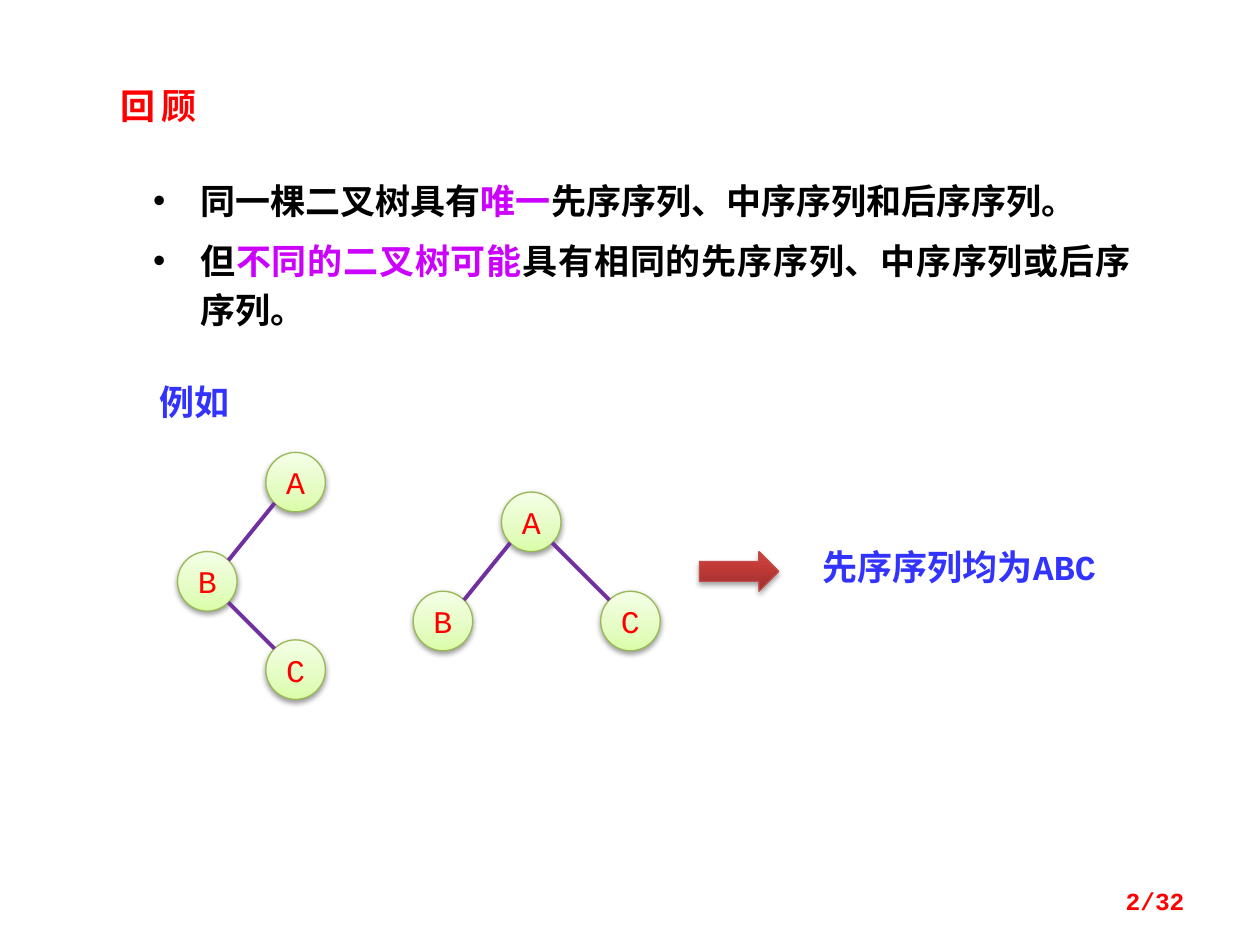
from math import sqrt

from lxml import etree
from pptx import Presentation
from pptx.dml.color import RGBColor
from pptx.enum.shapes import MSO_CONNECTOR as Link, MSO_SHAPE as Shape
from pptx.enum.text import MSO_ANCHOR as Anchor, PP_ALIGN as Align
from pptx.oxml import parse_xml
from pptx.oxml.ns import nsdecls, qn
from pptx.util import Cm, Pt

LATIN, CJK = "Courier New", "Noto Sans CJK SC"
RED, BLUE, MAGENTA, BLACK = "FF0000", "3333FF", "CC00FF", "000000"


def write(paragraph, pieces, size, bold=True, align=Align.LEFT, latin=LATIN):
    paragraph.alignment = align
    font = paragraph.font
    font.size, font.bold, font.name = Pt(size), bold, latin
    defaults = paragraph._p.pPr.find(qn("a:defRPr"))
    etree.SubElement(defaults, qn("a:ea")).set("typeface", CJK)
    for text, color in pieces:
        run = paragraph.add_run()
        run.text = text
        run.font.color.rgb = RGBColor.from_string(color)


def add_relief(shape, stops, border, opacity, distance):
    stop_xml = "".join(
        f'<a:gs pos="{pos * 1000}"><a:srgbClr val="{color}"/></a:gs>'
        for pos, color in stops)
    properties = shape._element.spPr
    properties.append(parse_xml(
        f'<a:gradFill {nsdecls("a")} rotWithShape="1"><a:gsLst>{stop_xml}</a:gsLst>'
        '<a:lin ang="16200000" scaled="0"/></a:gradFill>'))
    shape.line.color.rgb = RGBColor.from_string(border)
    shape.line.width = Pt(0.75)
    shape.shadow.inherit = False
    properties.find(qn("a:effectLst")).append(parse_xml(
        f'<a:outerShdw {nsdecls("a")} blurRad="{Pt(3.1)}" dist="{Pt(distance)}" '
        f'dir="5400000" rotWithShape="0"><a:srgbClr val="000000">'
        f'<a:alpha val="{opacity * 1000}"/></a:srgbClr></a:outerShdw>'))


deck = Presentation()
deck.slide_width, deck.slide_height = Cm(25.4), Cm(19.05)
slide = deck.slides.add_slide(deck.slide_layouts[5])
shapes = slide.shapes

heading = shapes.title
heading.left, heading.top, heading.width, heading.height = Cm(2.18), Cm(1.57), Cm(2.4), Cm(1.12)
heading.text_frame.vertical_anchor = Anchor.MIDDLE
heading.text_frame.word_wrap = False
write(heading.text_frame.paragraphs[0], [("回顾", RED)], 20, latin=CJK)
heading.text_frame.paragraphs[0].runs[0].font._element.set("spc", "300")

review = shapes.add_textbox(Cm(2.59), Cm(3.18), Cm(20.45), Cm(3.73)).text_frame
review.word_wrap = True
review.margin_left, review.margin_right = Cm(0.5), Cm(0.25)
review.margin_top = review.margin_bottom = Cm(0.3)
points = [
    [("同一棵二叉树具有", BLACK), ("唯一", MAGENTA),
     ("先序序列、中序序列和后序序列。", BLACK)],
    [("但", BLACK), ("不同的二叉树可能", MAGENTA),
     ("具有相同的先序序列、中序序列或后序序列。", BLACK)],
]
for index, pieces in enumerate(points):
    point = review.add_paragraph() if index else review.paragraphs[0]
    write(point, pieces, 20, align=Align.JUSTIFY)
    point.line_spacing, point.space_before = Pt(28), Pt(6)
    layout = point._p.pPr
    layout.set("marL", str(Cm(0.95)))
    layout.set("indent", str(-Cm(0.95)))
    bullet_font = etree.Element(qn("a:buFont"), typeface="Arial")
    bullet = etree.Element(qn("a:buChar"), char="•")
    defaults = layout.find(qn("a:defRPr"))
    defaults.addprevious(bullet_font)
    defaults.addprevious(bullet)

diameter = 1.2
corner = diameter / 2 / sqrt(2)
trees = [
    ({"A": (5.96, 9.72), "B": (4.18, 11.72), "C": (5.96, 13.5)}, ["AB", "BC"]),
    ({"A": (10.71, 10.52), "B": (8.93, 12.52), "C": (12.71, 12.52)}, ["AB", "AC"]),
]
for nodes, edges in trees:
    for label, (x, y) in nodes.items():
        node = shapes.add_shape(Shape.OVAL, Cm(x - diameter / 2), Cm(y - diameter / 2),
                                Cm(diameter), Cm(diameter))
        add_relief(node, [(0, "DAFDA7"), (35, "E4FCC2"), (100, "F5FFE7")], "98B955", 38, 1.6)
        frame = node.text_frame
        frame.margin_left = frame.margin_right = frame.margin_top = frame.margin_bottom = 0
        frame.vertical_anchor = Anchor.MIDDLE
        frame.word_wrap = False
        write(frame.paragraphs[0], [(label, RED)], 18, False, Align.CENTER)
    for parent, child in edges:
        (x1, y1), (x2, y2) = nodes[parent], nodes[child]
        shift = corner if x2 > x1 else -corner
        edge = shapes.add_connector(Link.STRAIGHT, Cm(x1 + shift), Cm(y1 + corner),
                                    Cm(x2 - shift), Cm(y2 - corner))
        edge.line.color.rgb = RGBColor.from_string("7030A0")
        edge.line.width = Pt(2.25)
        etree.SubElement(edge._element.spPr, qn("a:effectLst"))

arrow = shapes.add_shape(Shape.RIGHT_ARROW, Cm(14.1), Cm(11.12), Cm(1.6), Cm(0.8))
add_relief(arrow, [(0, "9C2F2D"), (80, "CB3E3A"), (100, "CE3B37")], "BF4C48", 35, 1.8)

captions = [
    ("先序序列均为ABC", BLUE, 20, Align.LEFT, (16.33, 10.87, 6.35, 1.12)),
    ("例如", BLUE, 20, Align.LEFT, (2.97, 7.54, 4.17, 1.12)),
    ("2/32", RED, 14, Align.RIGHT, (18.21, 17.65, 5.92, 1.02)),
]
for text, color, size, align, box in captions:
    caption = shapes.add_textbox(*map(Cm, box)).text_frame
    caption.word_wrap = True
    caption.vertical_anchor = Anchor.MIDDLE
    write(caption.paragraphs[0], [(text, color)], size, align=align)

deck.save("out.pptx")
